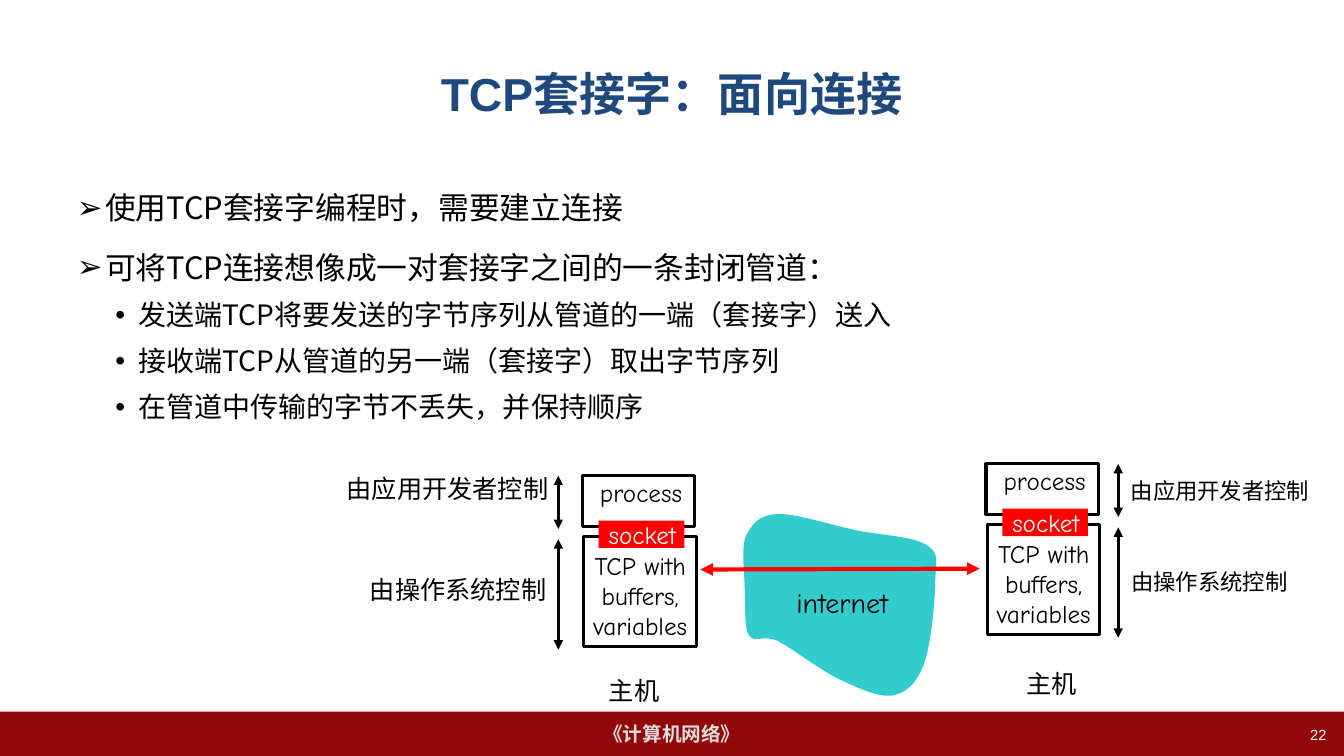
from lxml.etree import SubElement
from pptx import Presentation
from pptx.dml.color import RGBColor
from pptx.enum.shapes import MSO_CONNECTOR, MSO_SHAPE
from pptx.enum.text import MSO_ANCHOR, PP_ALIGN
from pptx.oxml.ns import qn
from pptx.util import Cm, Pt

HAN = "Noto Sans CJK SC"
COMIC = "Comic Neue"
MID = PP_ALIGN.CENTER
RIGHT = PP_ALIGN.RIGHT

TITLE = dict(name="Arial", size=Pt(33), bold=True)
FOOT = dict(name="Arial", size=Pt(14), bold=True)
PAGE = dict(name="Arial", size=Pt(10.5))
LABEL = dict(name=HAN, size=Pt(18))
SMALL = dict(name=HAN, size=Pt(16))
HOST = dict(name=COMIC, size=Pt(18))
NET = dict(name=COMIC, size=Pt(20))

LEVELS = [
    dict(size=22, left=0.71, hang=0.71, gap=11, mark="➢"),
    dict(size=20, left=1.55, hang=0.58, gap=4, mark="•"),
]
POINTS = [
    (0, "使用TCP套接字编程时，需要建立连接"),
    (0, "可将TCP连接想像成一对套接字之间的一条封闭管道："),
    (1, "发送端TCP将要发送的字节序列从管道的一端（套接字）送入"),
    (1, "接收端TCP从管道的另一端（套接字）取出字节序列"),
    (1, "在管道中传输的字节不丢失，并保持顺序"),
]
START = (771, 510)
CURVES = [
    (753, 511), (746, 520), (740, 532),
    (735, 545), (739, 569), (739, 586),
    (740, 602), (738, 622), (743, 630),
    (748, 639), (757, 629), (772, 636),
    (787, 644), (814, 665), (833, 674),
    (852, 683), (872, 692), (886, 690),
    (900, 687), (910, 677), (917, 658),
    (924, 639), (928, 594), (928, 574),
    (929, 554), (932, 548), (918, 540),
    (905, 532), (873, 531), (849, 526),
    (825, 521), (789, 509), START,
]


def tint(code):
    return RGBColor.from_string(code)


def place(box):
    return [Cm(v) for v in box]


def write(para, text, style, color="000000"):
    run = para.add_run()
    run.text = text
    for key, value in style.items():
        setattr(run.font, key, value)
    run.font.color.rgb = tint(color)
    SubElement(run._r.get_or_add_rPr(), qn("a:ea"), typeface=HAN)


def fill_text(frame, text, style, color, align, anchor):
    frame.word_wrap = False
    frame.vertical_anchor = anchor
    for i, line in enumerate(text.split("\n")):
        para = frame.paragraphs[0] if i == 0 else frame.add_paragraph()
        para.alignment = align
        write(para, line, style, color)


def add_text(shapes, box, text, style, color="000000", align=MID,
             anchor=MSO_ANCHOR.MIDDLE):
    frame = shapes.add_textbox(*place(box)).text_frame
    fill_text(frame, text, style, color, align, anchor)


def paint(shape, fill=None, line=None):
    shape.shadow.inherit = False
    if fill:
        shape.fill.solid()
        shape.fill.fore_color.rgb = tint(fill)
    else:
        shape.fill.background()
    if line:
        shape.line.color.rgb = tint(line)
        shape.line.width = Pt(2.25)
    else:
        shape.line.fill.background()


def add_rect(shapes, box, fill=None, line=None):
    rect = shapes.add_shape(MSO_SHAPE.RECTANGLE, *place(box))
    paint(rect, fill, line)
    return rect


def add_arrow(shapes, ends, color="000000", width=2.25):
    arrow = shapes.add_connector(MSO_CONNECTOR.STRAIGHT, *place(ends))
    arrow.line.color.rgb = tint(color)
    arrow.line.width = Pt(width)
    for tag in ("a:headEnd", "a:tailEnd"):
        SubElement(arrow.line._get_or_add_ln(), qn(tag), type="triangle")
    SubElement(arrow._element.spPr, qn("a:effectLst"))


def add_list(shapes, box):
    frame = shapes.add_textbox(*place(box)).text_frame
    frame.word_wrap = True
    for i, (depth, text) in enumerate(POINTS):
        para = frame.paragraphs[0] if i == 0 else frame.add_paragraph()
        level = LEVELS[depth]
        para.level = depth
        para.line_spacing = 1.2
        para.space_before = Pt(level["gap"] if i else 0)
        props = para._p.get_or_add_pPr()
        props.set("marL", str(Cm(level["left"])))
        props.set("indent", str(-Cm(level["hang"])))
        SubElement(props, qn("a:buFont"), typeface="Arial")
        SubElement(props, qn("a:buChar"), char=level["mark"])
        write(para, text, dict(name=HAN, size=Pt(level["size"])))


def add_host(slide, x, y, side):
    shapes = slide.shapes.add_group_shape().shapes
    add_rect(shapes, (x, y, 2.83, 1.27), "FFFFFF", "000000")
    add_text(shapes, (x + 0.08, y - 0.09, 2.79, 1.02), "process", HOST)
    add_text(shapes, (x - 0.12, y + 1.74, 3.15, 2.54),
             "TCP with\nbuffers,\nvariables", HOST)
    add_rect(shapes, (x + 0.03, y + 1.53, 2.84, 2.78), None, "000000")
    add_rect(shapes, (x + 0.41, y + 1.13, 2.16, 0.69), "FF0000")
    add_text(shapes, (x + 0.28, y + 0.96, 2.46, 1.02), "socket", HOST, "FFFFFF")
    for low, high in ((1.34, 0), (4.38, 1.6)):
        add_arrow(slide.shapes, (side, y + low, side, y + high))


def add_cloud(shapes):
    pen = shapes.build_freeform(*START, scale=Cm(2.54) / 100)
    pen.add_line_segments(CURVES, close=True)
    cloud = pen.convert_to_shape()
    paint(cloud, "33CCCC")
    lines = list(cloud._element.iter(qn("a:lnTo")))
    for one, two, end in zip(lines[::3], lines[1::3], lines[2::3]):
        one.tag = qn("a:cubicBezTo")
        for part in (two, end):
            one.append(part[0])
            part.getparent().remove(part)


def main():
    deck = Presentation()
    deck.slide_width, deck.slide_height = Cm(33.87), Cm(19.05)
    slide = deck.slides.add_slide(deck.slide_layouts[6])
    shapes = slide.shapes

    bar = add_rect(shapes, (0, 17.93, 33.87, 1.12), "940709")
    fill_text(bar.text_frame, "《计算机网络》", FOOT, "DDDDDD", MID,
              MSO_ANCHOR.MIDDLE)
    add_text(shapes, (1.69, 0.76, 30.48, 3.18), "TCP套接字：面向连接",
             TITLE, "1F497D")
    add_list(shapes, (1.69, 4.45, 30.48, 12.57))
    add_text(shapes, (25.78, 18.16, 7.9, 0.89), "22", PAGE, "FFFFFF",
             RIGHT, MSO_ANCHOR.TOP)

    add_host(slide, 14.68, 11.99, 14.07)
    add_host(slide, 24.85, 11.69, 28.18)
    for box, text, style in (
        ((8.43, 11.81, 5.64, 1.02), "由应用开发者控制", LABEL),
        ((9.02, 14.35, 5, 1.02), "由操作系统控制", LABEL),
        ((28.17, 11.89, 5.08, 0.94), "由应用开发者控制", SMALL),
        ((28.2, 14.18, 4.5, 0.94), "由操作系统控制", SMALL),
    ):
        add_text(shapes, box, text, style, align=RIGHT)
    for x, y in ((15.08, 16.89), (25.6, 16.72)):
        add_text(shapes, (x, y, 1.8, 1.02), "主机", LABEL)

    add_cloud(shapes)
    add_text(shapes, (19.61, 14.63, 3.23, 1.09), "internet", NET)
    add_arrow(shapes, (24.69, 14.33, 17.65, 14.35), "FF0000", 3)
    deck.save("out.pptx")


if __name__ == "__main__":
    main()
